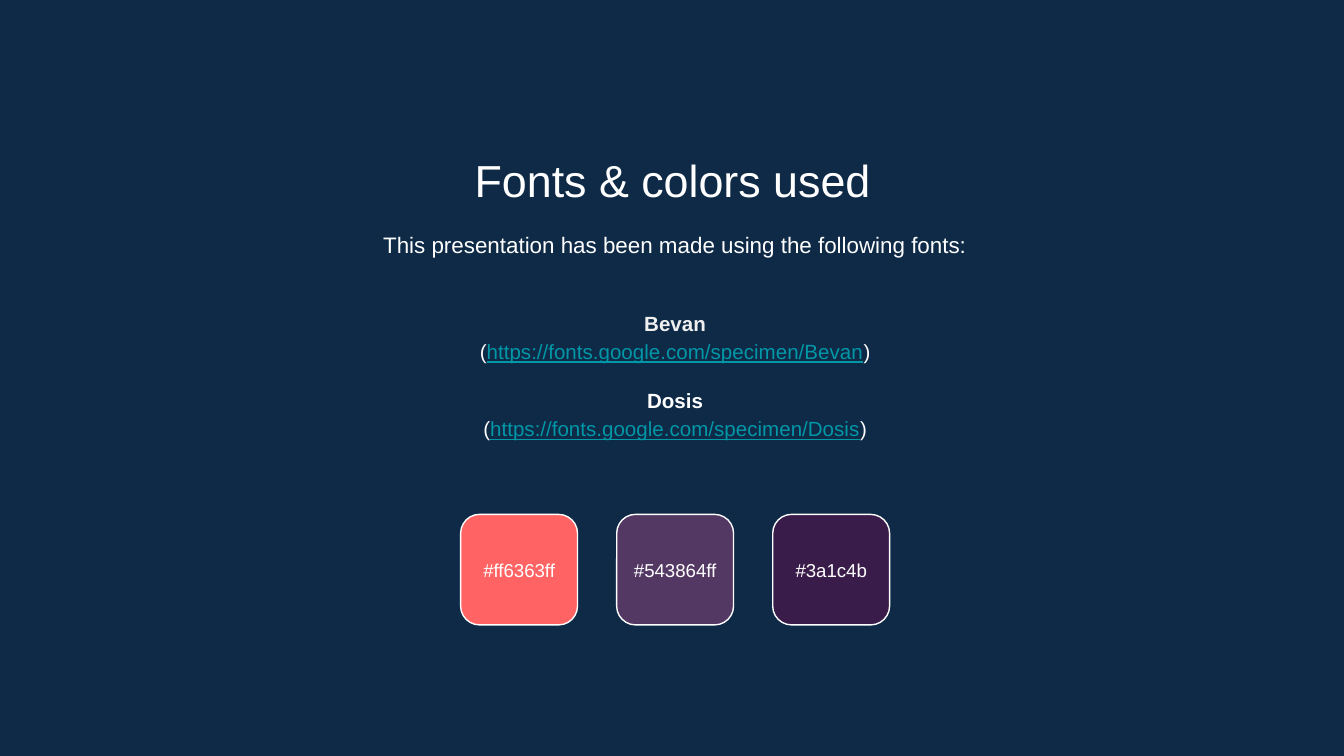
from dataclasses import dataclass

from pptx import Presentation
from pptx.dml.color import RGBColor
from pptx.enum.shapes import MSO_SHAPE
from pptx.enum.text import MSO_ANCHOR, PP_ALIGN
from pptx.util import Pt

COLORS = {
    "navy": "0E2A47",
    "white": "FFFFFF",
    "pale": "EFEFEF",
    "link": "0097A7",
    "coral": "FF6363",
    "plum": "543864",
    "aubergine": "3A1C4B",
}
FONT = "Arial"
INSET = 7.2


@dataclass(frozen=True)
class Box:
    left: float
    top: float
    width: float
    height: float

    def lengths(self) -> list[Pt]:
        return [Pt(n) for n in (self.left, self.top, self.width, self.height)]


@dataclass(frozen=True)
class Piece:
    text: str
    color: str = "white"
    bold: bool = False
    underline: bool = False


@dataclass(frozen=True)
class Line:
    pieces: tuple[Piece, ...]
    space_before: float = 0


@dataclass(frozen=True)
class Swatch:
    label: str
    color: str


def rgb(name: str) -> RGBColor:
    return RGBColor.from_string(COLORS[name])


def add_text(slide, box: Box, lines: list[Line], size: float,
             spacing: float = 1.0, anchor=MSO_ANCHOR.TOP) -> None:
    frame = slide.shapes.add_textbox(*box.lengths()).text_frame
    frame_format = {"word_wrap": True, "vertical_anchor": anchor}
    frame_format |= {f"margin_{side}": Pt(INSET)
                     for side in ("left", "top", "right", "bottom")}
    for name, value in frame_format.items():
        setattr(frame, name, value)
    for index, line in enumerate(lines):
        paragraph = frame.add_paragraph() if index else frame.paragraphs[0]
        paragraph_format = {"alignment": PP_ALIGN.CENTER, "line_spacing": spacing,
                            "space_before": Pt(line.space_before)}
        for name, value in paragraph_format.items():
            setattr(paragraph, name, value)
        for piece in line.pieces:
            run = paragraph.add_run()
            run.text = piece.text
            font_format = {"name": FONT, "size": Pt(size), "bold": piece.bold,
                           "underline": piece.underline}
            for name, value in font_format.items():
                setattr(run.font, name, value)
            run.font.color.rgb = rgb(piece.color)


def font_entry(family: str, color: str, space_before: float = 0) -> list[Line]:
    """A font's name above its address in brackets."""
    address = Piece(f"https://fonts.google.com/specimen/{family}", "link", underline=True)
    return [Line((Piece(family, color, bold=True),), space_before),
            Line((Piece("("), address, Piece(")")))]


def add_swatch(slide, swatch: Swatch, left: float) -> None:
    tile = slide.shapes.add_shape(MSO_SHAPE.ROUNDED_RECTANGLE,
                                  *Box(left, 275.6, 62.6, 59.2).lengths())
    tile.adjustments[0] = 0.17
    tile.shadow.inherit = False
    tile.fill.solid()
    tile.fill.fore_color.rgb = rgb(swatch.color)
    tile.line.color.rgb = rgb("white")
    tile.line.width = Pt(0.75)
    add_text(slide, Box(left, 288, 62.6, 34.6), [Line((Piece(swatch.label),))],
             size=10, anchor=MSO_ANCHOR.MIDDLE)


def main() -> None:
    deck = Presentation()
    deck.slide_width, deck.slide_height = Pt(720), Pt(405)
    slide = deck.slides.add_slide(deck.slide_layouts[6])
    slide.background.fill.solid()
    slide.background.fill.fore_color.rgb = rgb("navy")

    # Title and introduction
    add_text(slide, Box(82.8, 74.9, 555, 38.2),
             [Line((Piece("Fonts & colors used"),))], size=24)
    intro = "This presentation has been made using the following fonts:"
    add_text(slide, Box(84.2, 114.5, 555, 34.6), [Line((Piece(intro),))],
             size=12, spacing=1.15)

    # Fonts with their addresses
    add_text(slide, Box(84.2, 151.2, 555, 98.6),
             font_entry("Bevan", "pale") + font_entry("Dosis", "white", space_before=11),
             size=11, spacing=1.15, anchor=MSO_ANCHOR.MIDDLE)

    # Colour swatches at an equal pitch
    swatches = [Swatch("#ff6363ff", "coral"), Swatch("#543864ff", "plum"),
                Swatch("#3a1c4b", "aubergine")]
    for column, swatch in enumerate(swatches):
        add_swatch(slide, swatch, left=246.8 + 83.6 * column)

    deck.save("out.pptx")


if __name__ == "__main__":
    main()
